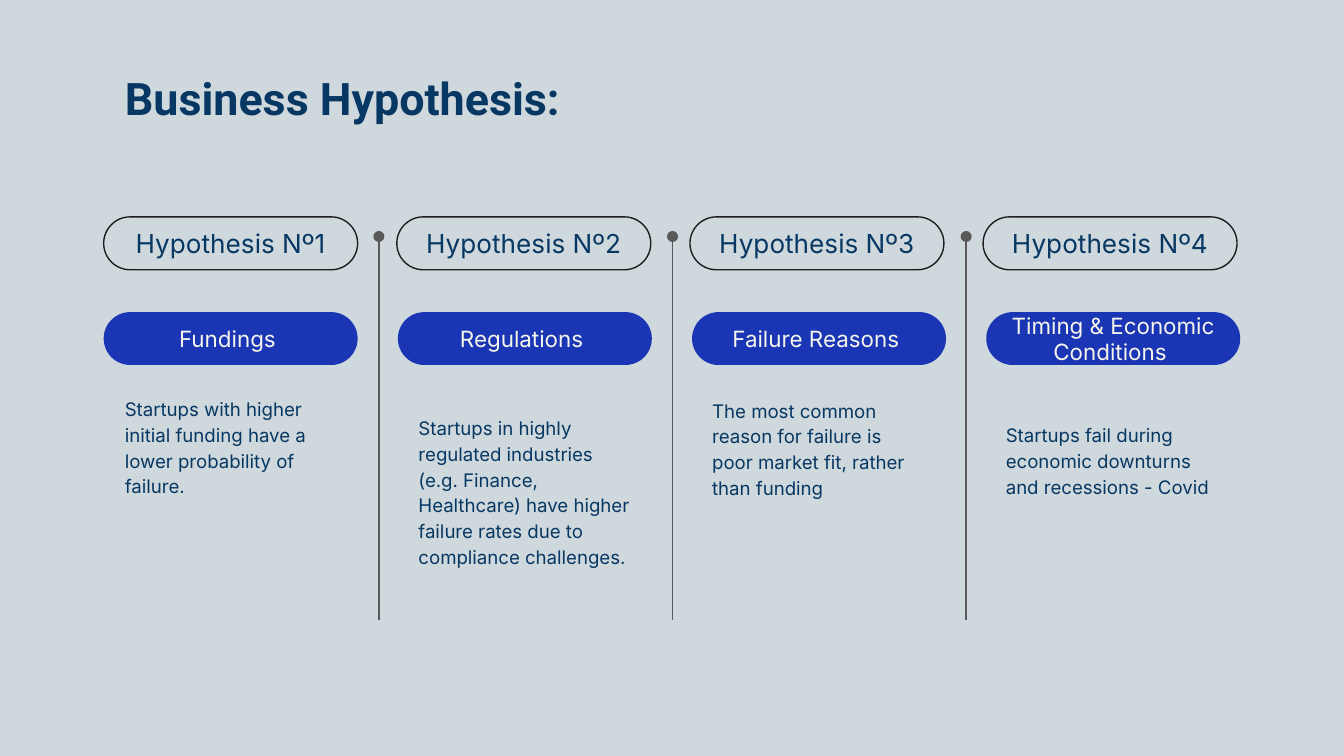
import pptx
import pptx.dml.color
import pptx.enum.shapes
import pptx.enum.text
import pptx.oxml
import pptx.oxml.ns
import pptx.util

Cm, Pt = pptx.util.Cm, pptx.util.Pt
RGBColor = pptx.dml.color.RGBColor
ALIGN = pptx.enum.text.PP_ALIGN
ANCHOR = pptx.enum.text.MSO_ANCHOR

BACKGROUND = RGBColor(0xCF, 0xD8, 0xDC)
NAVY = RGBColor(0x07, 0x37, 0x63)
BLUE = RGBColor(0x1A, 0x36, 0xB4)
CREAM = RGBColor(0xF6, 0xF5, 0xEC)
BLACK = RGBColor(0x1D, 0x1D, 0x1D)
GREY = RGBColor(0x59, 0x59, 0x59)

# Content: heading, topic, statement, top and height of the statement in cm
TITLE = "Business Hypothesis:"
HYPOTHESES = [
    ("Hypothesis Nº1", "Fundings ",
     "Startups with higher initial funding have a lower probability of failure.",
     7.21, 3.2),
    ("Hypothesis Nº2", "Regulations ",
     "Startups in highly regulated industries (e.g. Finance, Healthcare) "
     "have higher failure rates due to compliance challenges.",
     7.57, 3.58),
    ("Hypothesis Nº3", "Failure Reasons ",
     "The most common reason for failure is poor market fit, rather than funding",
     7.24, 3.48),
    ("Hypothesis Nº4", "Timing & Economic Conditions ",
     "Startups fail during economic downturns and recessions - Covid",
     7.7, 2.44),
]

# Column layout in cm
PILL_LEFT, PILL_WIDTH, PILL_HEIGHT = 1.96, 4.8, 1.0
HEADING_TOP, HEADING_PITCH = 4.1, 5.54
TOPIC_TOP, TOPIC_PITCH = 5.9, 5.56
TEXT_LEFT, TEXT_WIDTH, TEXT_PITCH = 2.11, 4.55, 5.55
DIVIDER_LEFT, DIVIDER_TOP, DIVIDER_BOTTOM = 7.16, 4.47, 11.71


def write(shape, text, size, color, font="Inter", bold=False,
          align=ALIGN.LEFT, anchor=ANCHOR.TOP, spacing=None):
    frame = shape.text_frame
    frame.word_wrap = True
    frame.vertical_anchor = anchor
    frame.margin_left = frame.margin_right = Cm(0.25)
    frame.margin_top = frame.margin_bottom = Cm(0.25)
    paragraph = frame.paragraphs[0]
    paragraph.alignment = align
    if spacing:
        paragraph.line_spacing = spacing
    run = paragraph.add_run()
    run.text = text
    run.font.size = Pt(size)
    run.font.name = font
    run.font.bold = bold
    run.font.color.rgb = color


def add_text(slide, left, top, width, height, text, size, **style):
    box = slide.shapes.add_textbox(Cm(left), Cm(top), Cm(width), Cm(height))
    write(box, text, size, NAVY, **style)


def add_pill(slide, left, top, text, size, color, fill=None):
    pill = slide.shapes.add_shape(
        pptx.enum.shapes.MSO_SHAPE.ROUNDED_RECTANGLE,
        Cm(left), Cm(top), Cm(PILL_WIDTH), Cm(PILL_HEIGHT))
    pill.adjustments[0] = 0.5
    pill.shadow.inherit = False
    if fill is None:
        pill.fill.background()
        pill.line.color.rgb = BLACK
        pill.line.width = Pt(0.75)
    else:
        pill.fill.solid()
        pill.fill.fore_color.rgb = fill
        pill.line.fill.background()
    write(pill, text, size, color, align=ALIGN.CENTER, anchor=ANCHOR.MIDDLE)


def add_divider(slide, left):
    divider = slide.shapes.add_connector(
        pptx.enum.shapes.MSO_CONNECTOR.STRAIGHT,
        Cm(left), Cm(DIVIDER_TOP), Cm(left), Cm(DIVIDER_BOTTOM))
    divider.line.color.rgb = GREY
    divider.line.width = Pt(0.75)
    # Round dot at the top end, no shadow
    dot = pptx.oxml.parse_xml(
        f'<a:headEnd {pptx.oxml.ns.nsdecls("a")} type="oval" w="med" len="med"/>')
    divider.line._get_or_add_ln().append(dot)
    divider._element.spPr.append(
        pptx.oxml.parse_xml(f'<a:effectLst {pptx.oxml.ns.nsdecls("a")}/>'))


def main():
    presentation = pptx.Presentation()
    presentation.slide_width = Cm(25.4)
    presentation.slide_height = Cm(14.29)
    slide = presentation.slides.add_slide(presentation.slide_layouts[6])
    slide.background.fill.solid()
    slide.background.fill.fore_color.rgb = BACKGROUND

    add_text(slide, TEXT_LEFT, 1.09, 9.17, 1.35, TITLE, 24,
             font="Roboto", bold=True)

    # One column per hypothesis
    for index, (heading, topic, statement, top, height) in enumerate(HYPOTHESES):
        add_pill(slide, PILL_LEFT + index * HEADING_PITCH, HEADING_TOP,
                 heading, 14, NAVY)
        add_pill(slide, PILL_LEFT + index * TOPIC_PITCH, TOPIC_TOP,
                 topic, 12, CREAM, fill=BLUE)
        add_text(slide, TEXT_LEFT + index * TEXT_PITCH, top, TEXT_WIDTH, height,
                 statement, 10, spacing=1.15)

    # Dividers between the columns
    for index in range(len(HYPOTHESES) - 1):
        add_divider(slide, DIVIDER_LEFT + index * TEXT_PITCH)

    presentation.save("out.pptx")


if __name__ == "__main__":
    main()
